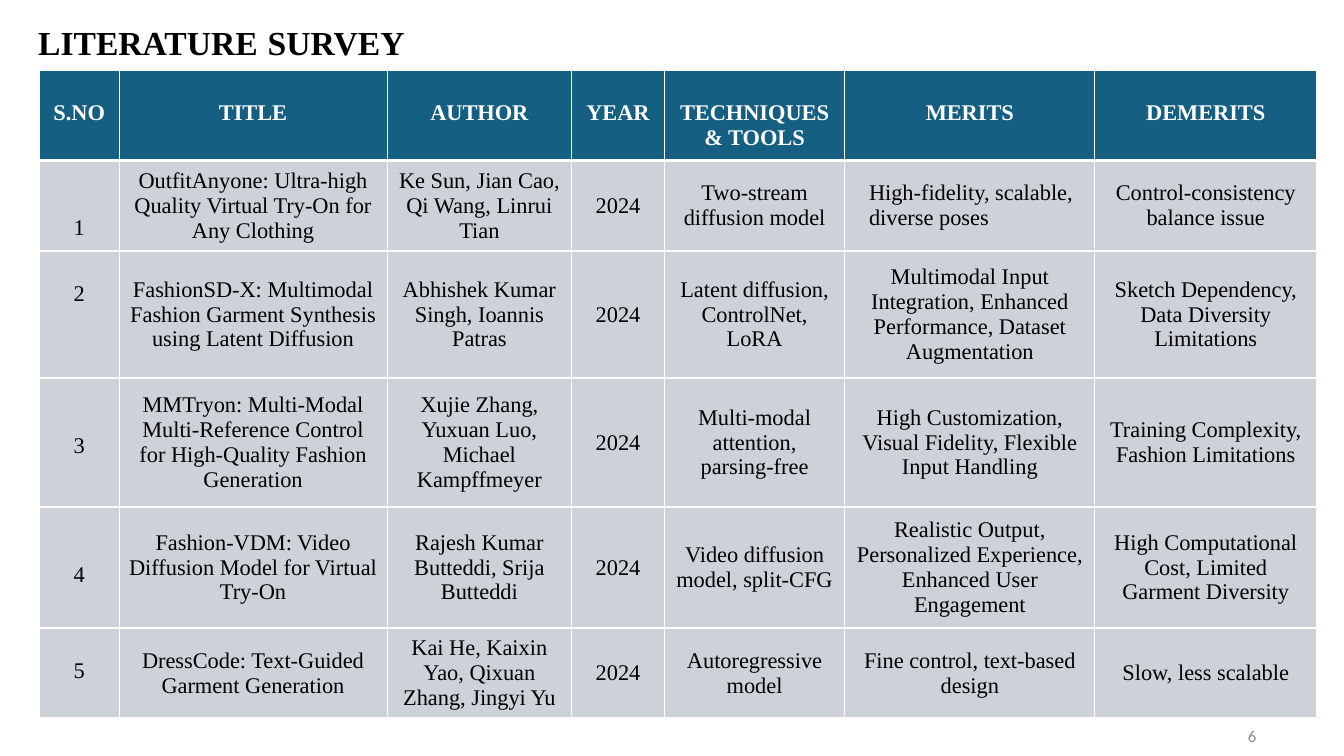
from dataclasses import dataclass

import lxml.etree
import pptx
import pptx.dml.color
import pptx.enum.text
import pptx.oxml.ns
import pptx.util
from pptx.util import Inches

ALIGN = pptx.enum.text.PP_ALIGN
ANCHOR = pptx.enum.text.MSO_ANCHOR


@dataclass(frozen=True)
class Theme:
    black: str = "000000"
    white: str = "FFFFFF"
    header: str = "156082"
    body: str = "CCD2D8"
    grey: str = "8C8C8C"
    serif: str = "Times New Roman"
    sans: str = "Calibri"
    title_size: int = 24
    title_gap_size: int = 28
    table_size: int = 16
    number_size: int = 12
    thin: float = 0.75
    thick: float = 2.03


THEME = Theme()
COLUMN_WIDTHS = [0.79, 2.66, 1.83, 0.92, 1.79, 2.48, 2.2]
ROW_HEIGHTS = [0.89, 0.89, 1.26, 1.28, 1.2, 0.89]
ONE_LINE_DOWN = 0.3
TWO_LINES_DOWN = 0.55
NUMBER_OFFSETS = [TWO_LINES_DOWN, ONE_LINE_DOWN, TWO_LINES_DOWN, TWO_LINES_DOWN, ONE_LINE_DOWN]

HEADINGS = ["S.NO", "TITLE", "AUTHOR", "YEAR", "TECHNIQUES & TOOLS", "MERITS", "DEMERITS"]
PAPERS = [
    ["1", "OutfitAnyone: Ultra-high Quality Virtual Try-On for Any Clothing",
     "Ke Sun, Jian Cao, Qi Wang, Linrui Tian", "2024", "Two-stream diffusion model",
     "High-fidelity, scalable, diverse poses", "Control-consistency balance issue"],
    ["2", "FashionSD-X: Multimodal Fashion Garment Synthesis using Latent Diffusion",
     "Abhishek Kumar Singh, Ioannis Patras", "2024", "Latent diffusion, ControlNet, LoRA",
     "Multimodal Input Integration, Enhanced Performance, Dataset Augmentation",
     "Sketch Dependency,\nData Diversity Limitations"],
    ["3", "MMTryon: Multi-Modal Multi-Reference Control for High-Quality Fashion Generation",
     "Xujie Zhang, Yuxuan Luo, Michael Kampffmeyer", "2024",
     "Multi-modal attention, parsing-free",
     "High Customization, Visual Fidelity, Flexible Input Handling",
     "Training Complexity, Fashion Limitations"],
    ["4", "Fashion-VDM: Video Diffusion Model for Virtual Try-On",
     "Rajesh Kumar Butteddi, Srija Butteddi", "2024", "Video diffusion model, split-CFG",
     "Realistic Output, Personalized Experience, Enhanced User Engagement",
     "High Computational Cost, Limited Garment Diversity"],
    ["5", "DressCode: Text-Guided Garment Generation",
     "Kai He, Kaixin Yao, Qixuan Zhang, Jingyi Yu", "2024", "Autoregressive model",
     "Fine control, text-based design", "Slow, less scalable"],
]


def rgb(color):
    return pptx.dml.color.RGBColor.from_string(color)


def format_run(run, size, color, font=THEME.serif, bold=False):
    run.font.size = pptx.util.Pt(size)
    run.font.name = font
    run.font.bold = bold
    run.font.color.rgb = rgb(color)


def add_text_box(slide, left, top, width, height, alignment=ALIGN.LEFT):
    """Add a wrapped, vertically centred box and return its paragraph."""
    box = slide.shapes.add_textbox(Inches(left), Inches(top), Inches(width), Inches(height))
    box.text_frame.word_wrap = True
    box.text_frame.vertical_anchor = ANCHOR.MIDDLE
    paragraph = box.text_frame.paragraphs[0]
    paragraph.alignment = alignment
    return paragraph


def add_title(slide):
    paragraph = add_text_box(slide, 0.28, 0.15, 10.82, 0.55)
    paragraph.line_spacing = 0.9
    for text, size in (("LITERATURE", THEME.title_size), (" ", THEME.title_gap_size),
                       ("SURVEY", THEME.title_size)):
        run = paragraph.add_run()
        run.text = text
        format_run(run, size, THEME.black, bold=True)


def add_slide_number(slide):
    paragraph = add_text_box(slide, 9.56, 7.1, 3, 0.4, ALIGN.RIGHT)
    paragraph.text = "6"
    format_run(paragraph.runs[0], THEME.number_size, THEME.grey, THEME.sans)


def set_borders(cell, top_width):
    properties = cell._tc.get_or_add_tcPr()
    widths = {"a:lnL": THEME.thin, "a:lnR": THEME.thin, "a:lnT": top_width, "a:lnB": THEME.thick}
    for position, (tag, width) in enumerate(widths.items()):
        line = lxml.etree.Element(pptx.oxml.ns.qn(tag), w=str(pptx.util.Pt(width)))
        fill = lxml.etree.SubElement(line, pptx.oxml.ns.qn("a:solidFill"))
        lxml.etree.SubElement(fill, pptx.oxml.ns.qn("a:srgbClr"), val=THEME.white)
        properties.insert(position, line)


def fill_cell(cell, text, is_header):
    cell.text_frame.text = text
    for paragraph in cell.text_frame.paragraphs:
        paragraph.alignment = ALIGN.CENTER
        for run in paragraph.runs:
            format_run(run, THEME.table_size, THEME.white if is_header else THEME.black,
                       bold=is_header)
    cell.vertical_anchor = ANCHOR.MIDDLE
    cell.fill.solid()
    cell.fill.fore_color.rgb = rgb(THEME.header if is_header else THEME.body)
    set_borders(cell, THEME.thin if is_header else THEME.thick)


def lower_from_top(cell, offset):
    cell.vertical_anchor = ANCHOR.TOP
    cell.margin_top = Inches(offset)


def add_survey_table(slide):
    rows = [HEADINGS] + PAPERS
    table = slide.shapes.add_table(
        len(rows), len(HEADINGS), Inches(0.39), Inches(0.7),
        Inches(sum(COLUMN_WIDTHS)), Inches(sum(ROW_HEIGHTS))).table
    table.horz_banding = False
    for column, width in zip(table.columns, COLUMN_WIDTHS):
        column.width = Inches(width)
    for row, height in zip(table.rows, ROW_HEIGHTS):
        row.height = Inches(height)
    for row_index, texts in enumerate(rows):
        for column_index, text in enumerate(texts):
            fill_cell(table.cell(row_index, column_index), text, row_index == 0)

    for column_index in range(len(HEADINGS)):
        lower_from_top(table.cell(0, column_index), ONE_LINE_DOWN)
    for row_index, offset in enumerate(NUMBER_OFFSETS, start=1):
        lower_from_top(table.cell(row_index, 0), offset)

    first_merits = table.cell(1, HEADINGS.index("MERITS"))
    first_merits.margin_left = Inches(0.24)
    first_merits.text_frame.paragraphs[0].alignment = ALIGN.LEFT


def main():
    presentation = pptx.Presentation()
    presentation.slide_width = Inches(13.33)
    presentation.slide_height = Inches(7.5)
    slide = presentation.slides.add_slide(presentation.slide_layouts[6])
    add_title(slide)
    add_survey_table(slide)
    add_slide_number(slide)
    presentation.save("out.pptx")


if __name__ == "__main__":
    main()
